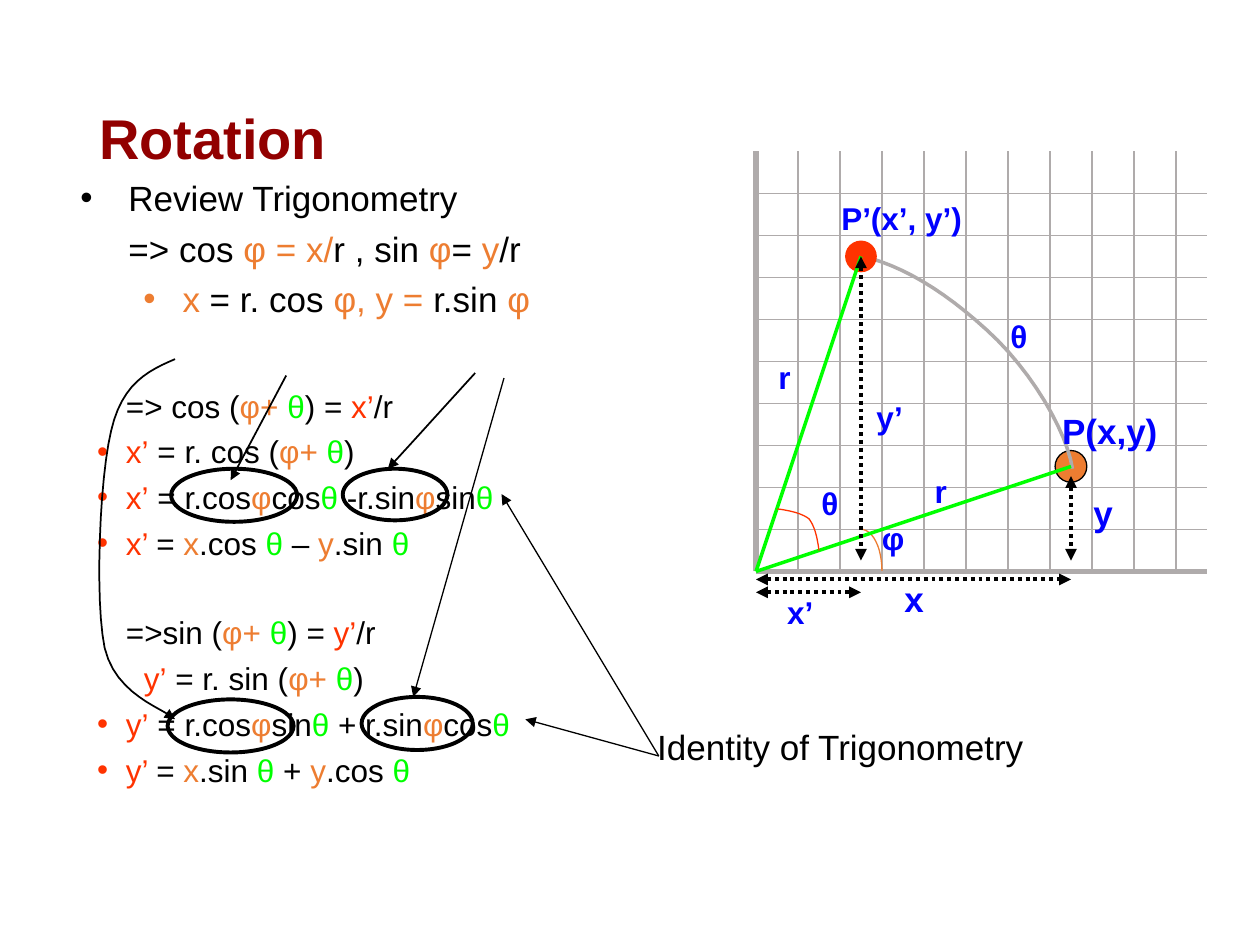
from pptx import Presentation
from pptx.dml.color import RGBColor
from pptx.enum.dml import MSO_LINE
from pptx.enum.shapes import MSO_CONNECTOR, MSO_SHAPE
from pptx.enum.text import MSO_ANCHOR
from pptx.oxml.ns import qn
from pptx.util import Cm, Pt
from lxml.etree import SubElement

BLACK, ORANGE, GREEN, RED = "000000", "ED7D31", "00FF00", "FF3300"
BLUE, GREY, MAROON = "0000FF", "AFABAB", "920000"
SPAN_COLORS = {"k": BLACK, "o": ORANGE, "g": GREEN, "r": RED}
STEP = 2.54 / 3
ORIGIN = (15.24, 11.52)

REVIEW = [
    ("kReview Trigonometry", 0.97, 0.97, 0),
    ("k=> cos |oφ = x/|kr , sin |oφ|k= |oy|k/r", 0.97, 0, 5),
    ("ox|k = r. cos |oφ, y = |kr.sin |oφ", 2.06, 0.79, 5),
]
DERIVATION = [
    ("k=> cos (|oφ+ |gθ|k) = |rx’|k/r", 1.27, 0, 0),
    ("rx’|k = r. cos (|oφ+ |gθ|k)", 1.27, 0.58, 4.5),
    ("rx’|k = r.cos|oφ|kcos|gθ|k -r.sin|oφ|ksin|gθ", 1.27, 0.58, 4.5),
    ("rx’ |k= |ox|k.cos |gθ|k – |oy|k.sin |gθ", 1.27, 0.58, 4.5),
    ("k=>sin (|oφ+ |gθ|k) = |ry’|k/r", 1.27, 0, 29.7),
    ("ry’|k = r. sin (|oφ+ |gθ|k)", 1.63, 0, 4.5),
    ("ry’|k = r.cos|oφ|ksin|gθ|k + r.sin|oφ|kcos|gθ", 1.27, 0.58, 4.5),
    ("ry’ |k= |ox|k.sin |gθ|k + |oy|k.cos |gθ", 1.27, 0.58, 4.5),
]
LABELS = [
    ("θ", 20.12, 6.27, 0.84, 18), ("φ", 17.53, 10.34, 1.02, 18),
    ("P(x,y)", 21.16, 8.13, 2.46, 20), ("x", 17.98, 11.51, 0.91, 20),
    ("y", 21.79, 9.78, 0.91, 20), ("r", 18.59, 9.4, 0.76, 18),
    ("x’", 15.62, 11.84, 1.04, 18), ("y’", 17.42, 7.9, 1.04, 18),
    ("θ", 16.31, 9.63, 0.84, 18), ("P’(x’, y’)", 16.71, 3.89, 2.97, 18),
    ("r", 15.44, 7.09, 0.76, 18),
]
TERM_RINGS = [(3.45, 9.45, 2.54, 1.07), (6.91, 9.45, 2.11, 1.04),
              (3.38, 14.1, 2.54, 1.07), (7.29, 14.05, 2.24, 1.07)]
ROTATION_ARC = [(21.62, 9.45), (21.51, 8.71), (20.8, 7.47), (19.89, 6.65),
                (19, 5.84), (18.19, 5.36), (17.37, 5.16)]
PHI_ARC = [(17.35, 10.67), (17.6, 10.67), (17.78, 11.05), (17.78, 11.51)]
THETA_ARC = [(16.51, 11.1), (16.48, 10.85), (16.43, 10.62), (16.31, 10.46),
             (16.15, 10.34), (15.9, 10.29), (15.67, 10.26)]
SINE_ARROW = [(9.58, 7.52), (8.86, 8.31), (8.13, 9.12), (7.82, 9.45)]
COSINE_ARROW = [(3.53, 7.24), (3, 7.47), (2.46, 7.72), (2.24, 8.69),
                (2.01, 9.65), (1.91, 12.09), (2.11, 13.06),
                (2.34, 14.02), (3.28, 14.27), (3.53, 14.5)]


def rgb(value):
    """Return the colour for a hex string."""
    return RGBColor.from_string(value)


def grid_point(column, row):
    """Return the position in cm of a point given in grid steps."""
    return ORIGIN[0] + column * STEP, ORIGIN[1] - row * STEP


def style_line(shape, color, width, dotted=False, ends=()):
    """Set colour, width, dots and arrowheads of an outline."""
    shape.line.color.rgb = rgb(color)
    shape.line.width = Pt(width)
    if dotted:
        shape.line.dash_style = MSO_LINE.ROUND_DOT
    outline = shape.line._get_or_add_ln()
    for end in ends:
        SubElement(outline, qn(f"a:{end}End"), type="triangle")


def add_line(page, start, end, color, width, dotted=False, ends=()):
    """Draw a straight line between two points."""
    line = page.shapes.add_connector(MSO_CONNECTOR.STRAIGHT, *map(Cm, start + end))
    style_line(line, color, width, dotted, ends)
    SubElement(line._element.spPr, qn("a:effectLst"))


def bezier(points, t):
    """Return the point at t on a cubic curve."""
    weights = ((1 - t) ** 3, 3 * t * (1 - t) ** 2, 3 * t * t * (1 - t), t ** 3)
    return tuple(Cm(sum(w * p[axis] for w, p in zip(weights, points)))
                 for axis in (0, 1))


def add_curve(page, points, color, width, ends=()):
    """Draw joined cubic curves as an open outline."""
    steps = 12
    builder = page.shapes.build_freeform(*map(Cm, points[0]))
    builder.add_line_segments(
        [bezier(points[first:first + 4], i / steps)
         for first in range(0, len(points) - 1, 3)
         for i in range(1, steps + 1)], close=False)
    curve = builder.convert_to_shape()
    curve.shadow.inherit = False
    curve.fill.background()
    style_line(curve, color, width, ends=ends)


def add_ellipse(page, left, top, width, height, fill=None, line=None):
    """Draw an ellipse with an optional fill and an optional (colour, width) line."""
    ellipse = page.shapes.add_shape(MSO_SHAPE.OVAL, *map(Cm, (left, top, width, height)))
    ellipse.shadow.inherit = False
    if fill:
        ellipse.fill.solid()
        ellipse.fill.fore_color.rgb = rgb(fill)
    else:
        ellipse.fill.background()
    if line:
        style_line(ellipse, *line)
    else:
        ellipse.line.fill.background()


def add_dot(page, center, fill, line=None):
    """Draw a point marker around its centre."""
    size = 0.64
    add_ellipse(page, center[0] - size / 2, center[1] - size / 2, size, size, fill, line)


def add_label(page, text, left, top, width, height, size, color, bold=True):
    """Add a one-line text box and return it."""
    box = page.shapes.add_textbox(*map(Cm, (left, top, width, height)))
    paragraph = box.text_frame.paragraphs[0]
    paragraph.text = text
    font = paragraph.font
    font.name, font.size, font.bold = "Arial", Pt(size), bold
    font.color.rgb = rgb(color)
    return box


def add_formulas(page, lines, left, top, width, height, size):
    """Add lines of coloured spans, bulleted where they have a hanging indent."""
    box = page.shapes.add_textbox(*map(Cm, (left, top, width, height)))
    frame = box.text_frame
    frame.word_wrap = True
    for index, (spans, margin, hanging, gap) in enumerate(lines):
        paragraph = frame.add_paragraph() if index else frame.paragraphs[0]
        properties = paragraph._p.get_or_add_pPr()
        properties.set("marL", str(Cm(margin)))
        properties.set("indent", str(-Cm(hanging)))
        if hanging:
            SubElement(properties, qn("a:buFont"), typeface="Arial")
            SubElement(properties, qn("a:buChar"), char="•")
        if gap:
            paragraph.space_before = Pt(gap)
        paragraph.font.name, paragraph.font.size = "Arial", Pt(size)
        for part in spans.split("|"):
            span = paragraph.add_run()
            span.text = part[1:]
            span.font.color.rgb = rgb(SPAN_COLORS[part[0]])


def add_grid(page):
    """Draw the axes and the grid lines."""
    columns, rows = 10.75, 10
    for column in range(11):
        add_line(page, grid_point(column, 0), grid_point(column, rows),
                 GREY, 0.75 if column else 3)
    for row in range(rows):
        add_line(page, grid_point(0, row), grid_point(columns, row),
                 GREY, 0.75 if row else 3)


def add_diagram(page):
    """Draw the rotation of P to P’ on the grid."""
    point, rotated = grid_point(7.5, 2.5), grid_point(2.5, 7.5)
    add_grid(page)
    add_dot(page, point, ORANGE, (BLACK, 0.75))
    add_curve(page, ROTATION_ARC, GREY, 2, ["tail"])
    add_curve(page, PHI_ARC, ORANGE, 0.75)
    add_dot(page, rotated, RED)
    for end in (point, rotated):
        add_line(page, ORIGIN, end, GREEN, 2)
    add_curve(page, THETA_ARC, RED, 0.75)
    for start, end in (((point[0], 9.6), (point[0], 11.3)),
                       (rotated, (rotated[0], 11.3)),
                       ((ORIGIN[0], 11.68), (point[0], 11.68)),
                       ((ORIGIN[0], 11.94), (rotated[0], 11.94))):
        add_line(page, start, end, BLACK, 2.25, True, ["head", "tail"])
    for text, left, top, width, size in LABELS:
        add_label(page, text, left, top, width, 1.12 if size == 20 else 1.02, size, BLUE)


def add_annotations(page):
    """Ring the terms and draw the arrows that explain them."""
    for ring in TERM_RINGS:
        add_ellipse(page, *ring, line=(BLACK, 2.25))
    add_line(page, (5.77, 7.57), (4.65, 9.68), BLACK, 1, ends=["tail"])
    for curve in (SINE_ARROW, COSINE_ARROW):
        add_curve(page, curve, BLACK, 1, ["tail"])
    add_line(page, (10.16, 7.62), (8.33, 14.05), BLACK, 0.75, ends=["tail"])
    add_label(page, "Identity of Trigonometry", 13, 14.5, 8.13, 1.12, 20, BLACK, False)
    for target in ((10.11, 9.96), (10.59, 14.5)):
        add_line(page, (13.28, 15.24), target, BLACK, 0.75, ends=["tail"])


def main():
    """Build the slide and save it."""
    deck = Presentation()
    deck.slide_width, deck.slide_height = Cm(25.4), Cm(19.05)
    page = deck.slides.add_slide(deck.slide_layouts[6])
    add_formulas(page, REVIEW, 1.37, 3.43, 12.27, 4.45, 20)
    add_diagram(page)
    add_formulas(page, DERIVATION, 1.02, 7.67, 11.76, 11, 18)
    add_annotations(page)
    title = add_label(page, "Rotation", 1.75, 1.02, 21.9, 3.68, 32, MAROON)
    title.text_frame.word_wrap = True
    title.text_frame.vertical_anchor = MSO_ANCHOR.MIDDLE
    title.text_frame.paragraphs[0].line_spacing = 0.9
    deck.save("out.pptx")


if __name__ == "__main__":
    main()
